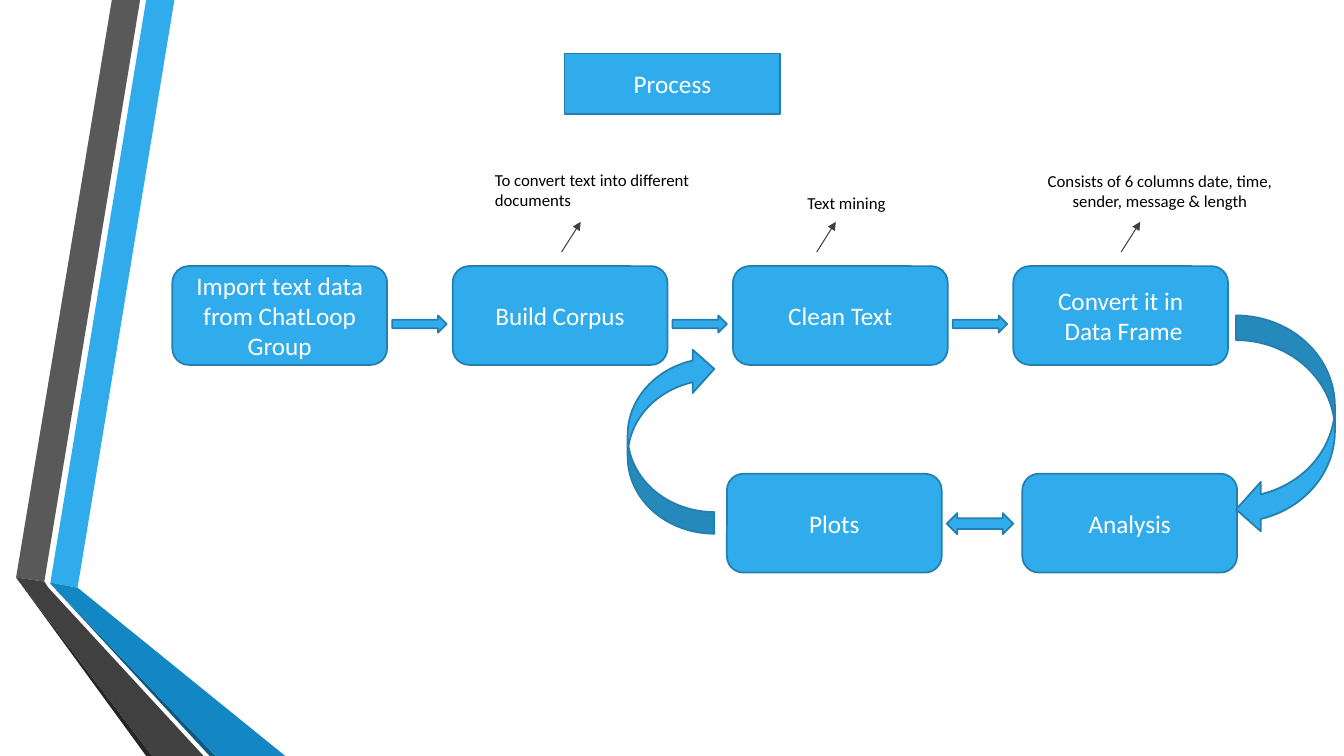
from dataclasses import dataclass

from lxml import etree
from pptx import Presentation
from pptx.dml.color import RGBColor
from pptx.enum.shapes import MSO_CONNECTOR, MSO_SHAPE as Preset
from pptx.enum.text import MSO_ANCHOR as Anchor, MSO_AUTO_SIZE as AutoSize, PP_ALIGN as Align
from pptx.oxml.ns import qn
from pptx.shapes.autoshape import Shape
from pptx.shapes.shapetree import SlideShapes
from pptx.text.text import TextFrame
from pptx.util import Inches, Pt

WHITE = RGBColor(0xFF, 0xFF, 0xFF)
BLACK = RGBColor(0, 0, 0)
BLUE = RGBColor(0x30, 0xAC, 0xEC)
BLUE_EDGE = RGBColor(0x24, 0x7F, 0xAF)
BLUE_FOLD = RGBColor(0x12, 0x87, 0xC3)
BLUE_SHADE = RGBColor(0x0C, 0x5A, 0x82)
GREY = RGBColor(0x59, 0x59, 0x59)
GREY_FOLD = RGBColor(0x40, 0x40, 0x40)
GREY_SHADE = RGBColor(0x26, 0x26, 0x26)

STEP_LEFT, STEP_TOP, STEP_WIDTH, STEP_HEIGHT = 1.71, 2.64, 2.13, 0.98
STEP_PITCH = 2.78
LOOP_TOP = 4.7


@dataclass(frozen=True)
class Ribbon:
    color: RGBColor
    points: tuple[tuple[float, float], ...]


@dataclass(frozen=True)
class Block:
    preset: Preset
    left: float
    top: float
    width: float
    height: float
    text: str = ""
    rotation: float = 0


@dataclass(frozen=True)
class Note:
    text: str
    left: float
    top: float
    width: float
    height: float
    pointer_left: float
    align: Align = Align.LEFT


RIBBONS = (
    Ribbon(BLUE, ((0.5, 5.78), (0.77, 5.83), (1.73, 0), (1.45, 0))),
    Ribbon(GREY, ((1.39, 0), (1.11, 0), (0.16, 5.73), (0.44, 5.77))),
    Ribbon(GREY_SHADE, ((0.16, 5.73), (1.45, 7.5), (1.51, 7.5))),
    Ribbon(BLUE_SHADE, ((0.5, 5.79), (2.08, 7.5), (2.14, 7.5))),
    Ribbon(BLUE_FOLD, ((0.5, 5.79), (2.14, 7.5), (2.83, 7.5), (0.77, 5.83), (0.5, 5.78))),
    Ribbon(GREY_FOLD, ((2.02, 7.5), (0.48, 5.83), (0.44, 5.77), (0.16, 5.73), (1.51, 7.5))),
)

STEP_TEXTS = (
    "Import text data from ChatLoop Group",
    "Build Corpus",
    "Clean Text",
    "Convert it in\n Data Frame",
)

TITLE = Block(Preset.RECTANGLE, 5.6, 0.53, 2.14, 0.6, "Process")
STEPS = tuple(
    Block(Preset.ROUNDED_RECTANGLE, STEP_LEFT + i * STEP_PITCH, STEP_TOP,
          STEP_WIDTH, STEP_HEIGHT, text)
    for i, text in enumerate(STEP_TEXTS)
)
LOOP_STEPS = tuple(
    Block(Preset.ROUNDED_RECTANGLE, left, LOOP_TOP, STEP_WIDTH, STEP_HEIGHT, text)
    for left, text in ((7.21, "Plots"), (10.14, "Analysis"))
)
STEP_ARROWS = tuple(
    Block(Preset.RIGHT_ARROW, step.left + STEP_WIDTH + 0.05, 3.13, 0.54, 0.17)
    for step in STEPS[:-1]
)
LOOP_ARROWS = (
    Block(Preset.CURVED_LEFT_ARROW, 12.26, 3.13, 0.98, 2.17),
    Block(Preset.LEFT_RIGHT_ARROW, 9.39, 5.09, 0.66, 0.21),
    Block(Preset.CURVED_DOWN_ARROW, 5.73, 3.94, 1.85, 0.86, rotation=270),
)

NOTES = (
    Note("To convert text into different documents", 4.81, 1.63, 2.13, 0.5, 5.57),
    Note("Consists of 6 columns date, time, sender, message & length",
         10.27, 1.64, 2.47, 0.5, 11.12, Align.CENTER),
    Note("Text mining", 7.91, 1.86, 1.35, 0.3, 8.1),
)


def write_text(frame: TextFrame, text: str, *, size: float, color: RGBColor,
               align: Align, anchor: Anchor) -> None:
    frame.word_wrap = True
    frame.vertical_anchor = anchor
    for i, line in enumerate(text.split("\n")):
        paragraph = frame.add_paragraph() if i else frame.paragraphs[0]
        paragraph.alignment = align
        run = paragraph.add_run()
        run.text = line
        run.font.name = "Calibri"
        run.font.size = Pt(size)
        run.font.color.rgb = color


def paint(shape: Shape, fill: RGBColor) -> None:
    shape.shadow.inherit = False
    shape.fill.solid()
    shape.fill.fore_color.rgb = fill


def draw_ribbon(shapes: SlideShapes, ribbon: Ribbon) -> None:
    start, *rest = [(Inches(x), Inches(y)) for x, y in ribbon.points]
    builder = shapes.build_freeform(*start)
    builder.add_line_segments(rest, close=True)
    band = builder.convert_to_shape()
    paint(band, ribbon.color)
    band.line.fill.background()


def draw_block(shapes: SlideShapes, block: Block) -> None:
    shape = shapes.add_shape(block.preset, Inches(block.left), Inches(block.top),
                             Inches(block.width), Inches(block.height))
    paint(shape, BLUE)
    shape.line.color.rgb = BLUE_EDGE
    shape.line.width = Pt(1.25)
    shape.rotation = block.rotation
    if block.text:
        write_text(shape.text_frame, block.text, size=18, color=WHITE,
                   align=Align.CENTER, anchor=Anchor.MIDDLE)


def draw_note(shapes: SlideShapes, note: Note) -> None:
    caption = shapes.add_textbox(Inches(note.left), Inches(note.top),
                                 Inches(note.width), Inches(note.height))
    write_text(caption.text_frame, note.text, size=12, color=BLACK,
               align=note.align, anchor=Anchor.TOP)
    caption.text_frame.auto_size = AutoSize.SHAPE_TO_FIT_TEXT
    pointer = shapes.add_connector(
        MSO_CONNECTOR.STRAIGHT, Inches(note.pointer_left), Inches(2.5),
        Inches(note.pointer_left + 0.19), Inches(2.2))
    pointer.line.color.rgb = GREY_FOLD
    pointer.line.width = Pt(0.75)
    outline = pointer.line._get_or_add_ln()
    etree.SubElement(outline, qn("a:tailEnd"), type="triangle")
    etree.SubElement(pointer._element.spPr, qn("a:effectLst"))


def main() -> None:
    deck = Presentation()
    deck.slide_width, deck.slide_height = Inches(13.33), Inches(7.5)
    shapes = deck.slides.add_slide(deck.slide_layouts[6]).shapes
    for ribbon in RIBBONS:
        draw_ribbon(shapes, ribbon)
    for block in (TITLE, *STEPS, *LOOP_STEPS, *STEP_ARROWS, *LOOP_ARROWS):
        draw_block(shapes, block)
    for note in NOTES:
        draw_note(shapes, note)
    deck.save("out.pptx")


if __name__ == "__main__":
    main()
